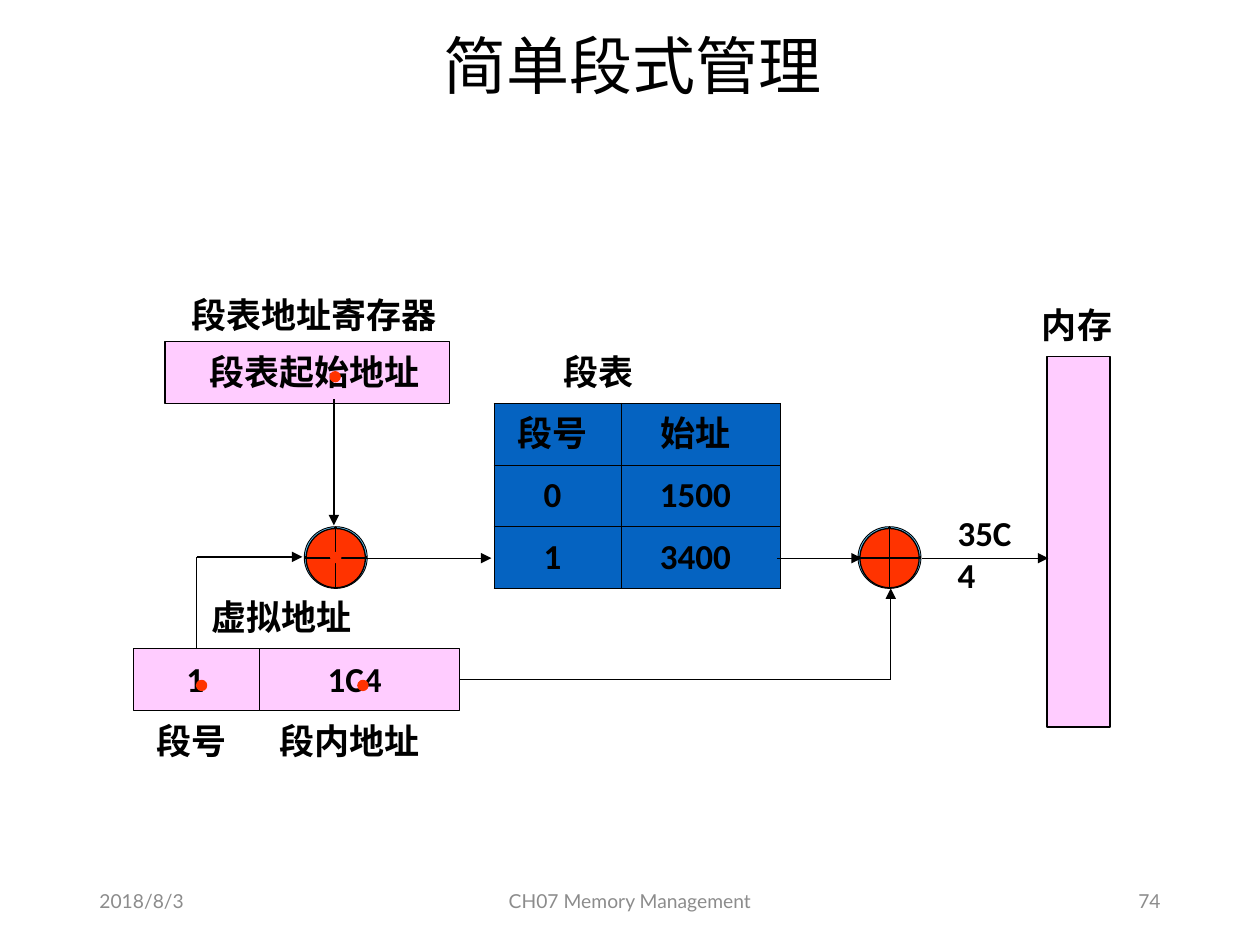
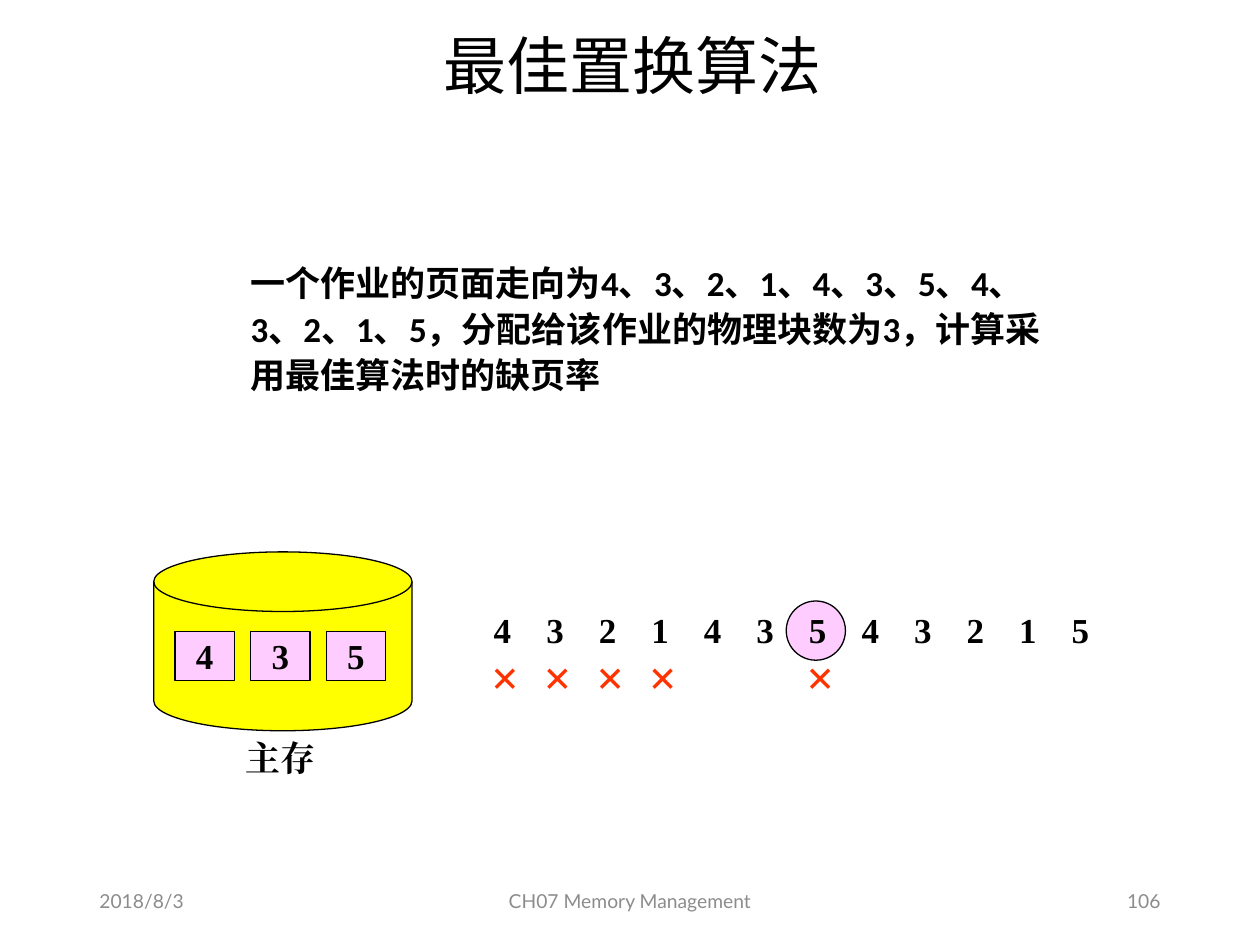
from dataclasses import dataclass, replace
from typing import NamedTuple, Optional

from lxml import etree
from pptx import Presentation
from pptx.dml.color import RGBColor
from pptx.enum.shapes import MSO_CONNECTOR, MSO_SHAPE as Preset
from pptx.enum.text import MSO_ANCHOR as Anchor, PP_ALIGN as Align
from pptx.oxml.ns import qn
from pptx.util import Emu, Inches, Pt

SLIDE_WIDTH, SLIDE_HEIGHT = Inches(10), Inches(7.5)
COLUMNS, ROWS = 100, 75

BLACK, GREY = "000000", "8C8C8C"
PINK, BLUE, SKY = "FFCCFF", "0563C1", "66CCFF"
RED, YELLOW = "FF3300", "FFFF00"


class Point(NamedTuple):
    col: float
    row: float


class Area(NamedTuple):
    col: float
    row: float
    width: float
    height: float


@dataclass(frozen=True)
class TextStyle:
    font: str = "Calibri"
    size: float = 20
    color: str = BLACK
    bold: bool = True
    align: Align = Align.LEFT
    anchor: Anchor = Anchor.TOP
    spacing: float = 1.0
    wrap: bool = True
    inset: bool = True


@dataclass(frozen=True)
class Label:
    text: str
    area: Area


@dataclass(frozen=True)
class Arrow:
    start: Point
    end: Point
    head: bool = True
    weight: float = 0.75


TITLE = TextStyle("Noto Sans CJK SC", 36, bold=False, align=Align.CENTER,
                  anchor=Anchor.MIDDLE, spacing=0.9)
FOOTER = TextStyle("Lato", 11, GREY, bold=False, anchor=Anchor.MIDDLE)
LABEL = TextStyle(wrap=False, inset=False)
EXERCISE = TextStyle(spacing=1.1)
SERIF = TextStyle("Times New Roman")
FRAME = replace(SERIF, align=Align.CENTER, anchor=Anchor.MIDDLE, wrap=False)
FAULT = replace(SERIF, size=28, color=RED)
CELL = replace(LABEL, align=Align.CENTER, anchor=Anchor.MIDDLE, wrap=True)


def across(columns: float) -> Emu:
    return Emu(round(SLIDE_WIDTH * columns / COLUMNS))


def down(rows: float) -> Emu:
    return Emu(round(SLIDE_HEIGHT * rows / ROWS))


def place(area: Area) -> tuple:
    return across(area.col), down(area.row), across(area.width), down(area.height)


def rgb(color: str) -> RGBColor:
    return RGBColor.from_string(color)


def format_paragraph(paragraph, style: TextStyle) -> None:
    paragraph.alignment = style.align
    paragraph.line_spacing = style.spacing
    for run in paragraph.runs:
        run.font.name = style.font
        run.font.size = Pt(style.size)
        run.font.bold = style.bold
        run.font.color.rgb = rgb(style.color)
        east_asian = etree.SubElement(run.font._element, qn("a:ea"))
        east_asian.set("typeface", style.font)


def write(frame, text: str, style: TextStyle) -> None:
    frame.text = text
    frame.word_wrap = style.wrap
    frame.vertical_anchor = style.anchor
    if not style.inset:
        frame.margin_left = frame.margin_right = 0
        frame.margin_top = frame.margin_bottom = 0
    format_paragraph(frame.paragraphs[0], style)


def add_text(slide, text: str, area: Area, style: TextStyle = LABEL):
    box = slide.shapes.add_textbox(*place(area))
    write(box.text_frame, text, style)
    return box


def add_figure(slide, preset: Preset, area: Area, fill: str,
               line: str = BLACK, weight: float = 0.75):
    figure = slide.shapes.add_shape(preset, *place(area))
    figure.shadow.inherit = False
    figure.fill.solid()
    figure.fill.fore_color.rgb = rgb(fill)
    figure.line.color.rgb = rgb(line)
    figure.line.width = Pt(weight)
    return figure


def add_arrow(slide, arrow: Arrow, source: Optional[tuple] = None) -> None:
    connector = slide.shapes.add_connector(
        MSO_CONNECTOR.STRAIGHT, across(arrow.start.col), down(arrow.start.row),
        across(arrow.end.col), down(arrow.end.row))
    if source:
        connector.begin_connect(*source)
    connector.line.color.rgb = rgb(BLACK)
    connector.line.width = Pt(arrow.weight)
    if arrow.head:
        etree.SubElement(connector.line._get_or_add_ln(),
                         qn("a:tailEnd")).set("type", "triangle")
    etree.SubElement(connector._element.spPr, qn("a:effectLst"))


def add_dot(slide, center: Point) -> None:
    add_figure(slide, Preset.OVAL,
               Area(center.col - 0.4, center.row - 0.4, 0.8, 0.8), RED, RED)


def add_adder(slide, center: Point) -> None:
    col, row = center
    add_figure(slide, Preset.OVAL, Area(col - 2.5, row - 2.45, 5, 4.9), SKY, weight=0.5)
    for start, end in ((Point(col - 2.5, row), Point(col + 2.5, row)),
                       (Point(col, row - 2.45), Point(col, row + 2.45))):
        add_arrow(slide, Arrow(start, end, head=False, weight=1.5))
    add_figure(slide, Preset.FLOWCHART_OR, Area(col - 2.35, row - 2.3, 4.7, 4.7), RED)


def add_border(cell) -> None:
    properties = cell._tc.get_or_add_tcPr()
    for index, side in enumerate(("a:lnL", "a:lnR", "a:lnT", "a:lnB")):
        border = etree.Element(qn(side), w=str(Pt(0.5)))
        solid = etree.SubElement(border, qn("a:solidFill"))
        etree.SubElement(solid, qn("a:srgbClr"), val=BLACK)
        properties.insert(index, border)


def add_segment_table(slide, rows: list, area: Area, widths: tuple) -> None:
    table = slide.shapes.add_table(len(rows), len(widths), *place(area)).table
    table.first_row = table.horz_banding = False
    for column, width in zip(table.columns, widths):
        column.width = across(width)
    for index, values in enumerate(rows):
        table.rows[index].height = down(area.height / len(rows))
        for column, value in enumerate(values):
            cell = table.cell(index, column)
            cell.text = value
            cell.vertical_anchor = CELL.anchor
            cell.margin_left = cell.margin_top = cell.margin_bottom = 0
            cell.margin_right = across(0.8)
            cell.fill.solid()
            cell.fill.fore_color.rgb = rgb(BLUE)
            add_border(cell)
            format_paragraph(cell.text_frame.paragraphs[0], CELL)


def start_slide(deck, title: str, number: str):
    slide = deck.slides.add_slide(deck.slide_layouts[6])
    add_text(slide, title, Area(7.1, 1.7, 86.2, 7.6), TITLE)
    for text, col, width, align in (
            ("2018/8/3", 6.9, 22.5, Align.LEFT),
            ("CH07 Memory Management", 33.1, 33.8, Align.CENTER),
            (number, 70.6, 22.5, Align.RIGHT)):
        add_text(slide, text, Area(col, 69.5, width, 4), replace(FOOTER, align=align))
    return slide


def build_segmentation(deck) -> None:
    slide = start_slide(deck, "简单段式管理", "74")
    add_figure(slide, Preset.RECTANGLE, Area(13.1, 27.1, 22.6, 4.9), PINK)
    segment_number = add_figure(slide, Preset.RECTANGLE, Area(10.6, 51.5, 10, 4.9),
                                PINK, weight=0.5)
    segment_offset = add_figure(slide, Preset.RECTANGLE, Area(20.6, 51.5, 15.9, 4.9),
                                PINK, weight=0.5)
    add_figure(slide, Preset.RECTANGLE, Area(83.1, 28.3, 5, 29.4), PINK)
    add_segment_table(slide, [("段号", "始址"), ("0", "1500"), ("1", "3400")],
                      Area(39.2, 32, 22.7, 14.7), (10.1, 12.6))

    for label in (
            Label("段表起始地址", Area(16.6, 27.8, 16.9, 3.4)),
            Label("段表地址寄存器", Area(15.2, 23.3, 19.8, 3.4)),
            Label("虚拟地址", Area(16.8, 47.3, 11.3, 3.4)),
            Label("1", Area(14.8, 52.2, 1.4, 3.4)),
            Label("1C4", Area(26, 52.2, 4.3, 3.4)),
            Label("段号", Area(12.4, 57.1, 5.6, 3.4)),
            Label("段内地址", Area(22.2, 57.1, 11.3, 3.4)),
            Label("段表", Area(44.7, 27.8, 5.6, 3.4)),
            Label("内存", Area(82.7, 24.1, 5.6, 3.4)),
            Label("35C4", Area(76, 40.6, 5.7, 3.4))):
        add_text(slide, label.text, label.area)

    entry_adder, address_adder = Point(26.65, 44.25), Point(70.6, 44.25)
    for adder in (entry_adder, address_adder):
        add_adder(slide, adder)

    number_turn, offset_turn = Point(15.6, 44.2), Point(70.7, 53.95)
    add_arrow(slide, Arrow(Point(15.6, 51.5), number_turn, head=False),
              (segment_number, 0))
    add_arrow(slide, Arrow(Point(36.5, 53.95), offset_turn, head=False),
              (segment_offset, 3))
    for arrow in (
            Arrow(Point(26.5, 31.7), Point(26.5, 41.7)),
            Arrow(number_turn, Point(24, 44.2)),
            Arrow(Point(29, 44.3), Point(39, 44.3)),
            Arrow(Point(61.7, 44.3), Point(68.4, 44.3)),
            Arrow(offset_turn, Point(70.7, 46.7)),
            Arrow(Point(73.2, 44.3), Point(83.2, 44.3))):
        add_arrow(slide, arrow)

    for center in (Point(16, 54.4), Point(26.6, 29.9), entry_adder, Point(28.8, 54.4)):
        add_dot(slide, center)


def build_replacement(deck) -> None:
    slide = start_slide(deck, "最佳置换算法", "106")
    pages = "432143543215"
    fault_steps = (0, 1, 2, 3, 6)
    step = 4.17

    add_text(slide, f"一个作业的页面走向为{'、'.join(pages)}，分配给该作业的物理块数为3，"
                    "计算采用最佳算法时的缺页率", Area(18.9, 19.9, 65.7, 12.1), EXERCISE)

    add_figure(slide, Preset.OVAL, Area(62.4, 47.7, 4.7, 4.7), PINK)
    sequence = add_text(slide, "\t".join(pages), Area(38.2, 47.8, 51.2, 4.3), SERIF)
    properties = sequence.text_frame.paragraphs[0]._p.get_or_add_pPr()
    tabs = etree.SubElement(properties, qn("a:tabLst"))
    for index in range(1, len(pages)):
        etree.SubElement(tabs, qn("a:tab"), pos=str(across(index * step)), algn="l")
    for index in fault_steps:
        add_text(slide, "×", Area(38 + index * step, 50.8, 3.9, 5.7), FAULT)

    add_figure(slide, Preset.FLOWCHART_MAGNETIC_DISK, Area(12.2, 43.8, 20.5, 14.2), YELLOW)
    add_text(slide, "主存", Area(18.5, 58, 8.7, 4.3), SERIF)
    for index, page in enumerate("435"):
        block = add_figure(slide, Preset.RECTANGLE,
                           Area(13.9 + 6 * index, 50.1, 4.7, 3.9), PINK)
        write(block.text_frame, page, FRAME)


def main() -> None:
    deck = Presentation()
    deck.slide_width, deck.slide_height = SLIDE_WIDTH, SLIDE_HEIGHT
    build_segmentation(deck)
    build_replacement(deck)
    deck.save("out.pptx")


if __name__ == "__main__":
    main()
